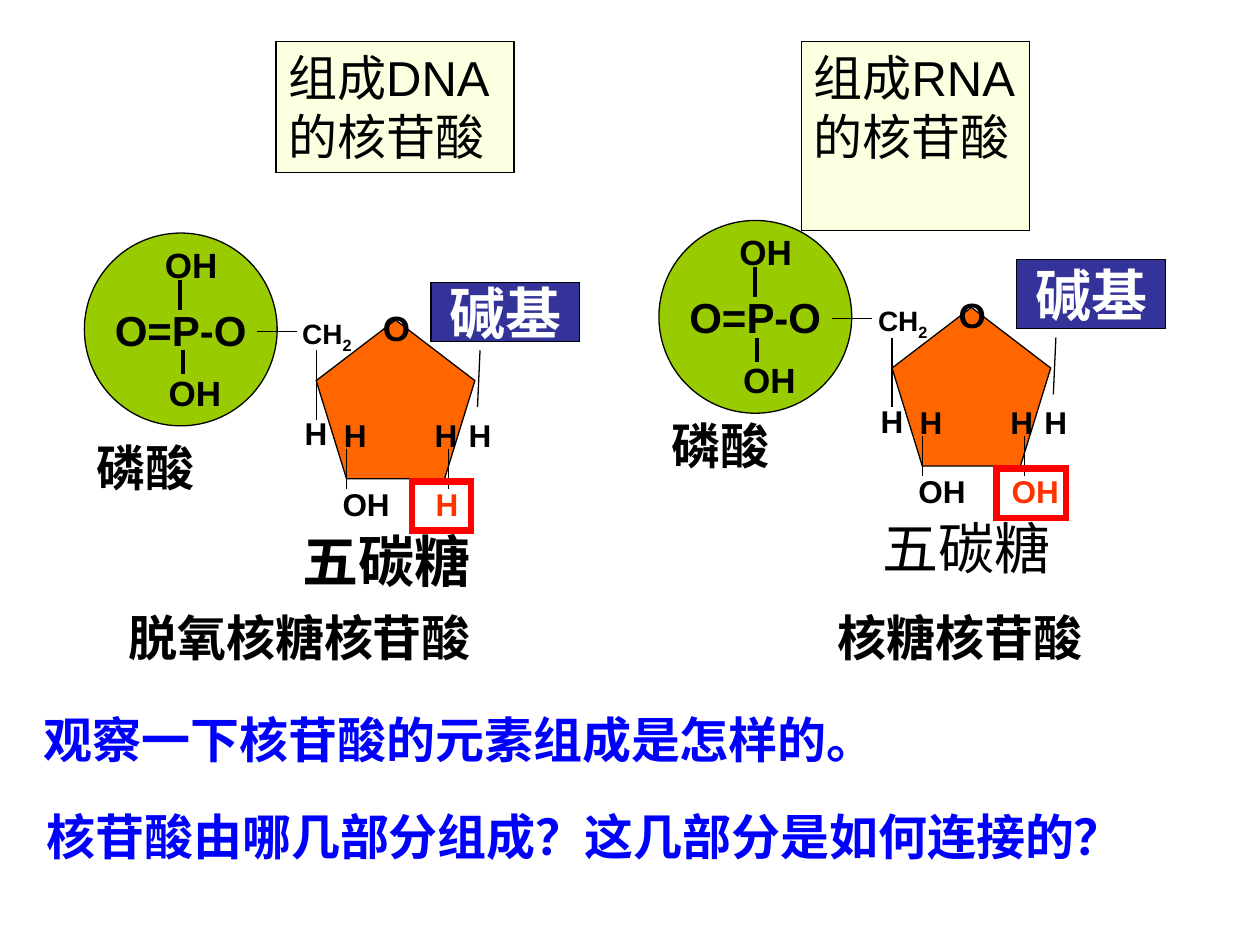
from dataclasses import dataclass

from lxml import etree
from pptx import Presentation
from pptx.dml.color import RGBColor
from pptx.enum.shapes import MSO_CONNECTOR, MSO_SHAPE
from pptx.enum.text import MSO_ANCHOR, MSO_AUTO_SIZE, PP_ALIGN
from pptx.oxml.ns import qn
from pptx.util import Pt

PX = 9144  # EMU in one px, 100 px to the inch
LINE = MSO_CONNECTOR.STRAIGHT
OVAL, RECT, PENTA = MSO_SHAPE.OVAL, MSO_SHAPE.RECTANGLE, MSO_SHAPE.REGULAR_PENTAGON
LEFT, CENTER = PP_ALIGN.LEFT, PP_ALIGN.CENTER
TOP, MIDDLE = MSO_ANCHOR.TOP, MSO_ANCHOR.MIDDLE
FIT = MSO_AUTO_SIZE.SHAPE_TO_FIT_TEXT


@dataclass(frozen=True)
class Theme:
    black: str = "000000"
    white: str = "FFFFFF"
    green: str = "99CC00"
    orange: str = "FF6600"
    navy: str = "333399"
    cream: str = "FDFFE1"
    blue: str = "0000FF"
    frame: str = "FF0000"
    mark: str = "FF3300"
    sans: str = "Arial"
    serif: str = "Times New Roman"
    han: str = "Noto Sans CJK SC"
    big: int = 32
    body: int = 28
    core: int = 24
    group: int = 20
    atom: int = 18
    carbon: int = 16
    thin: float = 0.75
    bond: float = 2.25
    thick: float = 3.75


T = Theme()


def color(code):
    return RGBColor.from_string(code)


def emu(*values):
    return [value * PX for value in values]


def write(shape, text, size, font=T.sans, ink=T.black, bold=True,
          align=LEFT, anchor=TOP, wrap=False, sub=""):
    """Fill a shape with one paragraph; sub is a subscript tail."""
    frame = shape.text_frame
    frame.word_wrap = wrap
    frame.vertical_anchor = anchor
    para = frame.paragraphs[0]
    para.alignment = align
    for part in filter(None, (text, sub)):
        run = para.add_run()
        run.text = part
        run.font.size = Pt(size)
        run.font.bold = bold
        run.font.name = font
        run.font.color.rgb = color(ink)
        props = run.font._element
        east = etree.SubElement(props, qn("a:ea"))
        east.set("typeface", T.han)
        if part is sub:
            props.set("baseline", "-25000")


def label(shapes, box, text, size, **style):
    shape = shapes.add_textbox(*emu(*box))
    write(shape, text, size, **style)
    shape.text_frame.auto_size = FIT


def block(shapes, kind, box, fill=None, edge=T.black, width=T.thin):
    shape = shapes.add_shape(kind, *emu(*box))
    shape.shadow.inherit = False
    if fill:
        shape.fill.solid()
        shape.fill.fore_color.rgb = color(fill)
    else:
        shape.fill.background()
    shape.line.color.rgb = color(edge)
    shape.line.width = Pt(width)
    edges = shape._element.spPr.find(qn("a:ln"))
    etree.SubElement(edges, qn("a:miter")).set("lim", "800000")
    return shape


def stroke(shapes, start, end, width=T.thin):
    line = shapes.add_connector(LINE, *emu(*start, *end))
    line.line.color.rgb = color(T.black)
    line.line.width = Pt(width)
    etree.SubElement(line._element.spPr, qn("a:effectLst"))


def phosphate(slide, box):
    x, y, w, h = box
    shapes = slide.shapes.add_group_shape().shapes
    disc = block(shapes, OVAL, box, T.green)
    write(disc, "O=P-O", T.core, align=CENTER, anchor=MIDDLE)
    for dx, top, end in ((78, 93, 112), (76, 37, 61)):
        stroke(shapes, (x + dx, y + top), (x + dx, y + end), T.bond)
    for dx, dy in ((57, 105), (54, 3)):
        label(shapes, (x + dx, y + dy, 66, 44), "OH", T.group, wrap=True)
    stroke(shapes, (x + 137, y + 78), (x + 169, y + 78))


def sugar(slide, box, tail):
    """Draw the five-carbon ring; tail is the group on its second carbon."""
    x, y, w, h = box
    shapes = slide.shapes.add_group_shape().shapes
    stroke(shapes, (x + 128, y + 69), (x + 130, y + 24))
    stroke(shapes, (x, y + 24), (x, y + 79))
    block(shapes, PENTA, box, T.orange)
    label(shapes, (x + 43, y - 16, 41, 44), "O", T.group)
    label(shapes, (x - 21, y - 8, 81, 41), "CH", T.carbon, wrap=True, sub="2")
    for dx, dy in ((-19, 70), (12, 71), (84, 71), (111, 71)):
        label(shapes, (x + dx, y + dy, 38, 40), "H", T.atom)
    for dx, text, ink in ((11, "OH", T.black), (85, tail, T.mark)):
        width = 22 + 20 * len(text)
        label(shapes, (x + dx, y + 126, width, 40), text, T.atom,
              ink=ink, wrap=True)
    for dx in (24, 105):
        stroke(shapes, (x + dx, y + 102), (x + dx, y + 134))


def base(slide, box):
    shape = block(slide.shapes, RECT, box, T.navy)
    write(shape, "碱基", T.big, font=T.han, ink=T.white,
          align=CENTER, anchor=MIDDLE)


def title(slide, box, text):
    shape = block(slide.shapes, RECT, box, T.cream)
    write(shape, text, T.body, bold=False, wrap=True)


def caption(slide, box, text, ink=T.black):
    label(slide.shapes, box, text, T.body, font=T.serif, ink=ink, wrap=True)


def main():
    deck = Presentation()
    deck.slide_width, deck.slide_height = emu(1000, 750)
    slide = deck.slides.add_slide(deck.slide_layouts[6])

    phosphate(slide, (67, 185, 153, 153))
    base(slide, (342, 224, 118, 47))
    sugar(slide, (251, 254, 126, 126), "H")
    label(slide.shapes, (216, 413, 181, 64), "五碳糖", T.big,
          font=T.han, align=CENTER, wrap=True)

    phosphate(slide, (523, 175, 153, 153))
    base(slide, (807, 206, 118, 55))
    sugar(slide, (708, 244, 126, 126), "OH")
    label(slide.shapes, (689, 403, 157, 64), "五碳糖", T.big,
          font=T.serif, bold=False, align=CENTER, wrap=True)

    title(slide, (219, 33, 189, 104), "组成DNA的核苷酸")
    title(slide, (636, 33, 181, 150), "组成RNA的核苷酸")
    caption(slide, (67, 342, 110, 57), "磷酸")
    caption(slide, (523, 325, 102, 57), "磷酸")
    caption(slide, (92, 477, 299, 57), "脱氧核糖核苷酸")
    caption(slide, (655, 477, 228, 57), "核糖核苷酸")
    for box in ((327, 382, 47, 39), (791, 372, 55, 39)):
        block(slide.shapes, RECT, box, edge=T.frame, width=T.thick)
    caption(slide, (25, 558, 858, 57),
            "观察一下核苷酸的元素组成是怎样的。", T.blue)
    caption(slide, (27, 635, 1008, 57),
            "核苷酸由哪几部分组成？这几部分是如何连接的？", T.blue)
    deck.save("out.pptx")


if __name__ == "__main__":
    main()
